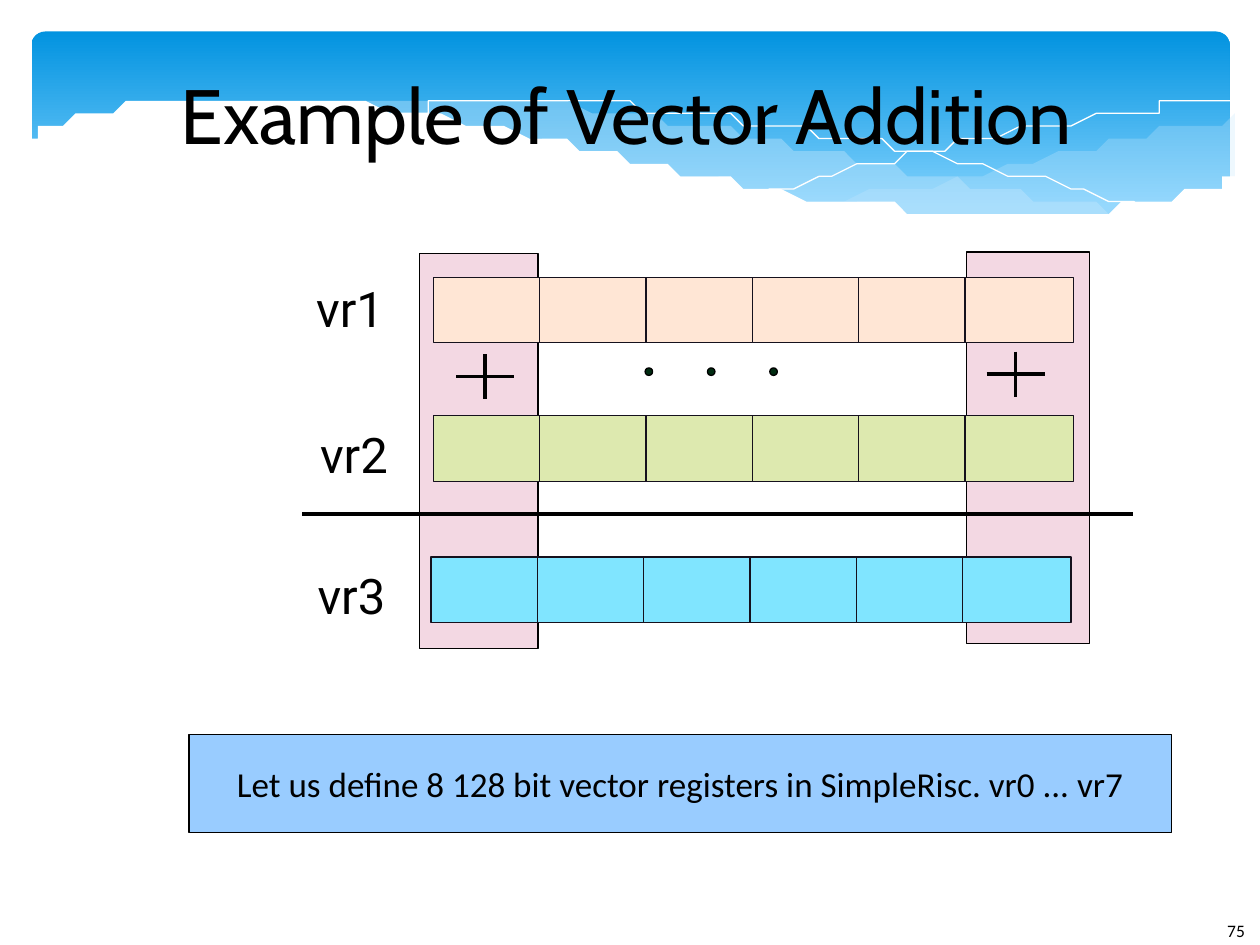
import pptx
import pptx.dml.color
import pptx.enum.shapes
import pptx.enum.text
import pptx.oxml.ns
import pptx.util
from lxml import etree

SHAPES = pptx.enum.shapes.MSO_SHAPE
ANCHOR = pptx.enum.text.MSO_ANCHOR
ALIGN = pptx.enum.text.PP_ALIGN
COLUMNS, ROWS = 100, 75
BLACK, OUTLINE, WHITE = "000000", "15111D", "FFFFFF"


def color(value):
    return pptx.dml.color.RGBColor.from_string(value)


def set_all(target, values):
    for name, value in values.items():
        setattr(target, name, value)


def smooth(points, steps=6):
    """Return points on a Catmull-Rom curve through the given points."""
    padded = [points[0], *points, points[-1]]
    curve = [points[0]]
    for before, start, end, after in zip(padded, padded[1:], padded[2:], padded[3:]):
        for step in range(1, steps + 1):
            t = step / steps
            curve.append(tuple(
                0.5 * (2 * b + (c - a) * t + (2 * a - 5 * b + 4 * c - d) * t ** 2
                       + (3 * b - a - 3 * c + d) * t ** 3)
                for a, b, c, d in zip(before, start, end, after)))
    return curve


class SlideBuilder:
    """Places elements on a grid of COLUMNS by ROWS cells."""

    def __init__(self, presentation):
        self.slide = presentation.slides.add_slide(presentation.slide_layouts[5])
        self.shapes = self.slide.shapes
        self.column = presentation.slide_width / COLUMNS
        self.row = presentation.slide_height / ROWS

    def box(self, left, top, width, height):
        return (round(left * self.column), round(top * self.row),
                round(width * self.column), round(height * self.row))

    def style(self, shape, fill=None, line=None, alpha=None):
        shape.shadow.inherit = False
        if fill:
            shape.fill.solid()
            shape.fill.fore_color.rgb = color(fill)
        else:
            shape.fill.background()
        if alpha:
            solid = shape._element.spPr.find(pptx.oxml.ns.qn("a:solidFill"))
            etree.SubElement(solid[0], pptx.oxml.ns.qn("a:alpha"), val=str(alpha * 1000))
        if line:
            shape.line.color.rgb = color(line)
            shape.line.width = 0
        else:
            shape.line.fill.background()
        return shape

    def shape(self, kind, box, fill, line=None):
        return self.style(self.shapes.add_shape(kind, *self.box(*box)), fill, line)

    def banner(self, box, stops):
        shape = self.shape(SHAPES.ROUNDED_RECTANGLE, box, WHITE)
        shape.adjustments[0] = 0.07
        shape.fill.gradient()
        shape.fill.gradient_angle = 270
        for stop, (position, value) in zip(shape.fill.gradient_stops, stops):
            stop.position = position
            stop.color.rgb = color(value)

    def curve(self, *edges, fill=None, line=None, alpha=None):
        points = [point for edge in edges for point in smooth(edge)]
        builder = self.shapes.build_freeform(*points[0], scale=(self.column, self.row))
        builder.add_line_segments(points[1:], close=fill is not None)
        self.style(builder.convert_to_shape(), fill, line, alpha)

    def line(self, start, end):
        connector = self.shapes.add_connector(
            pptx.enum.shapes.MSO_CONNECTOR.STRAIGHT, *self.box(*start, *end))
        connector.line.color.rgb = color(BLACK)
        connector.line.width = 0
        etree.SubElement(connector._element.spPr, pptx.oxml.ns.qn("a:effectLst"))

    def plus(self, column, row, width=4.6, height=3.6):
        self.line((column - width / 2, row), (column + width / 2, row))
        self.line((column, row - height / 2), (column, row + height / 2))

    def set_text(self, shape, text, font, size, inset=0.0, align=ALIGN.LEFT, anchor=ANCHOR.TOP):
        frame = shape.text_frame
        frame.text = text
        side, end = pptx.util.Inches(inset), pptx.util.Inches(inset / 2)
        set_all(frame, {
            "word_wrap": True, "vertical_anchor": anchor,
            "auto_size": pptx.enum.text.MSO_AUTO_SIZE.NONE,
            "margin_left": side, "margin_right": side,
            "margin_top": end, "margin_bottom": end})
        paragraph = frame.paragraphs[0]
        paragraph.alignment = align
        set_all(paragraph.runs[0].font, {"name": font, "size": pptx.util.Pt(size)})
        paragraph.runs[0].font.color.rgb = color(BLACK)

    def text(self, box, text, font, size, **options):
        self.set_text(self.shapes.add_textbox(*self.box(*box)), text, font, size, **options)

    def title(self, box, text, font, size):
        shape = self.shapes.title
        names = ("left", "top", "width", "height")
        set_all(shape, dict(zip(names, self.box(*box))))
        self.set_text(shape, text, font, size, align=ALIGN.CENTER, anchor=ANCHOR.MIDDLE)
        self.shapes._spTree.append(shape._element)  # in front of the banner


def draw_banner(builder):
    builder.banner((2.5, 2.5, 95.1, 15.6), [(0, "0293E0"), (0.9, "83D3FE")])
    # Translucent waves
    builder.curve(
        [(97.6, 9.4), (92.1, 10.4), (86.1, 11.8), (77.9, 13.7), (66.1, 16)],
        [(66.1, 16), (73.2, 16.8), (81.4, 17.2), (88.1, 16.7), (93.5, 15.6), (97.6, 14.1)],
        fill="C6E7FC", alpha=29)
    builder.curve(
        [(89.3, 16.7), (80.7, 15.4), (70.6, 13.4), (62.9, 11.6), (55.5, 10),
         (48.9, 8.9), (42, 8.2), (36.1, 8), (31.3, 8.2), (28.6, 8.6)],
        [(28.6, 8.6), (36.2, 9.7), (44.9, 11.6), (53, 13.5), (61.8, 15.3),
         (69.5, 16.5), (77.3, 17.2), (83.8, 17.2), (89.3, 16.7)],
        fill="C6E7FC", alpha=40)
    # Thin white curves
    builder.curve(
        [(30.9, 9), (35.3, 8.4), (41.6, 8.1), (48.9, 8.4), (55.6, 9.1),
         (63.6, 10.3), (72.7, 12), (83.1, 14.5), (90.7, 16.6)], line=WHITE)
    builder.curve(
        [(61.3, 15.1), (69.5, 13), (77.6, 11.1), (86.6, 9.3), (92.4, 8.4), (97.5, 8)],
        line=WHITE)
    # White lower part with a wavy top edge
    builder.curve(
        [(97.7, 14.1), (93, 15.7), (87.5, 16.7), (80.9, 17.1), (74.4, 16.8),
         (66.8, 16), (57.9, 14.4), (50.3, 12.8), (41.8, 10.7), (34, 9.2),
         (27.1, 8.2), (19.3, 7.8), (13.2, 8.1), (8.5, 8.7), (5.2, 9.6), (2.3, 10.7)],
        [(2.3, 22.4), (97.7, 22.4)], fill=WHITE)


def draw_vectors(builder):
    # Bands around the first and last lanes
    for band in ((33.3, 20.1, 9.4, 31.4), (76.7, 20, 9.8, 31.1)):
        builder.shape(SHAPES.RECTANGLE, band, "F3D8E3", BLACK)

    # Registers: label, label position, first cell position, fill
    registers = [
        ("vr1", (25.1, 22.1), (34.4, 22), "FFE6D5"),
        ("vr2", (25.4, 33.7), (34.4, 33), "DDE9AF"),
        ("vr3", (25.2, 44.9), (34.2, 44.2), "80E5FF"),
    ]
    lanes, pitch = 6, 8.44
    for name, label, (left, top), fill in registers:
        builder.text((*label, 7.1, 5.2), name, "Roboto", 28)
        for lane in range(lanes):
            builder.shape(SHAPES.RECTANGLE, (left + lane * pitch, top, 8.6, 5.2), fill, OUTLINE)

    # Sum rule, plus signs and dots
    builder.line((24, 40.8), (89.9, 40.8))
    builder.plus(38.5, 29.9)
    builder.plus(80.6, 29.7)
    for dot in range(3):
        builder.shape(SHAPES.OVAL, (51.2 + dot * 4.95, 29.2, 0.6, 0.6), "002B11", BLACK)


def main():
    presentation = pptx.Presentation()
    set_all(presentation, {"slide_width": pptx.util.Inches(10),
                           "slide_height": pptx.util.Inches(7.5)})
    builder = SlideBuilder(presentation)
    draw_banner(builder)
    builder.title((9.2, 3.9, 81.1, 10.2), "Example of Vector Addition", "Cabin", 44)
    draw_vectors(builder)

    # Statement and page number
    statement = builder.shape(SHAPES.RECTANGLE, (15, 58.3, 78, 7.8), "99CCFF", BLACK)
    builder.set_text(statement, "Let us define 8 128 bit vector registers in SimpleRisc. vr0 ... vr7",
                     "Calibri", 20, inset=0.1, align=ALIGN.CENTER, anchor=ANCHOR.MIDDLE)
    builder.text((97.4, 73, 2.6, 2), "75", "Calibri", 10)
    presentation.save("out.pptx")


if __name__ == "__main__":
    main()
